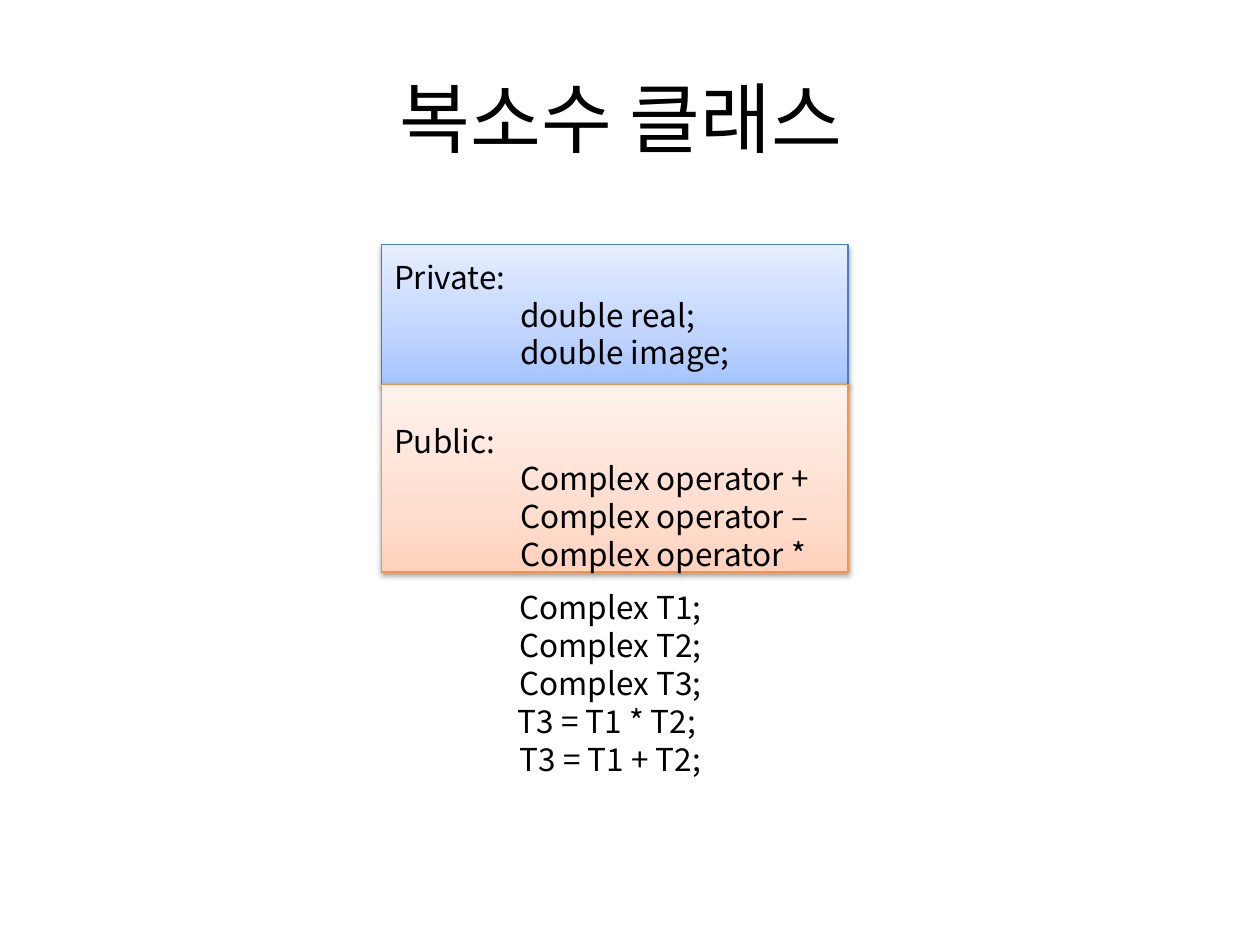
from copy import deepcopy

from lxml import etree
from pptx import Presentation
from pptx.dml.color import RGBColor
from pptx.enum.shapes import MSO_SHAPE
from pptx.enum.text import MSO_ANCHOR, PP_ALIGN
from pptx.oxml.ns import qn
from pptx.util import Inches, Pt

RECT = MSO_SHAPE.RECTANGLE
TOP, MIDDLE = MSO_ANCHOR.TOP, MSO_ANCHOR.MIDDLE
LEFT, CENTER = PP_ALIGN.LEFT, PP_ALIGN.CENTER

BLACK = RGBColor(0x00, 0x00, 0x00)
BLUE = RGBColor(0x4B, 0x7E, 0xBC)
ORANGE = RGBColor(0xF6, 0x92, 0x40)
BLUES = [RGBColor(0xA4, 0xC4, 0xFF), RGBColor(0xBF, 0xD4, 0xFF),
         RGBColor(0xE6, 0xEE, 0xFF)]
PEACHES = [RGBColor(0xFF, 0xD2, 0xBD), RGBColor(0xFF, 0xDE, 0xD0),
           RGBColor(0xFF, 0xF2, 0xED)]
STOPS = [0, 0.35, 1]
FONT = "Noto Sans CJK KR"

TITLE = ["복소수 클래스 "]
USAGE = ["Complex T1;", "Complex T2;", "Complex T3;",
         "T3 = T1 * T2; ", "T3 = T1 + T2;"]
# heading, members, height, top inset, gradient, outline
PARTS = [
    ("Private:", ["double real;", "double image;"],
     1.11, 0.05, BLUES, BLUE),
    ("Public:", ["Complex operator +", "Complex operator –",
                 "Complex operator *"],
     1.49, 0.35, PEACHES, ORANGE),
]
BOX_X, BOX_Y, BOX_W = 3.03, 1.94, 3.7


def write(shape, lines, size, align, anchor):
    frame = shape.text_frame
    frame.word_wrap = True
    frame.vertical_anchor = anchor
    frame.text = "\n".join(lines)
    style = {"name": FONT, "size": Pt(size)}
    for para in frame.paragraphs:
        para.alignment = align
        for run in para.runs:
            for key, value in style.items():
                setattr(run.font, key, value)
            run.font.color.rgb = BLACK
            face = etree.SubElement(run.font._element, qn("a:ea"))
            face.set("typeface", FONT)
    return frame


def shade(shape, colors):
    """Fill with a gradient that runs from the bottom up."""
    fill = shape.fill
    fill.gradient()
    fill.gradient_angle = 90
    stops = shape._element.spPr.find(".//" + qn("a:gsLst"))
    stops.append(deepcopy(stops[0]))
    for stop, place, color in zip(fill.gradient_stops, STOPS, colors):
        stop.position = place
        stop.color.rgb = color


def drop_shadow(shape):
    shape.shadow.inherit = False
    effects = shape._element.spPr.find(qn("a:effectLst"))
    outer = etree.SubElement(effects, qn("a:outerShdw"), blurRad="40000",
                             dist="20000", dir="5400000", rotWithShape="0")
    color = etree.SubElement(outer, qn("a:srgbClr"), val="000000")
    etree.SubElement(color, qn("a:alpha"), val="38000")


def add_text(slide, spot, *text):
    box = slide.shapes.add_textbox(*map(Inches, spot))
    write(box, *text)


def add_part(slide, top, part):
    head, members, height, inset, colors, edge = part
    box = slide.shapes.add_shape(
        RECT, *map(Inches, (BOX_X, top, BOX_W, height)))
    shade(box, colors)
    box.line.color.rgb = edge
    box.line.width = Pt(0.75)
    drop_shadow(box)
    frame = write(box, [head] + members, 18, LEFT, MIDDLE)
    frame.margin_top = Inches(inset)
    for para in frame.paragraphs[1:]:
        para._p.get_or_add_pPr().set("marL", str(Inches(1)))


def main():
    deck = Presentation()
    deck.slide_width, deck.slide_height = Inches(10), Inches(7.5)
    slide = deck.slides.add_slide(deck.slide_layouts[6])
    add_text(slide, (0.5, 0.3, 9, 1.25), TITLE, 44, CENTER, MIDDLE)
    top = BOX_Y
    for part in PARTS:
        add_part(slide, top, part)
        top += part[2]
    add_text(slide, (2.8, 4.62, 4.09, 1.62), USAGE, 18, CENTER, TOP)
    deck.save("out.pptx")


if __name__ == "__main__":
    main()
